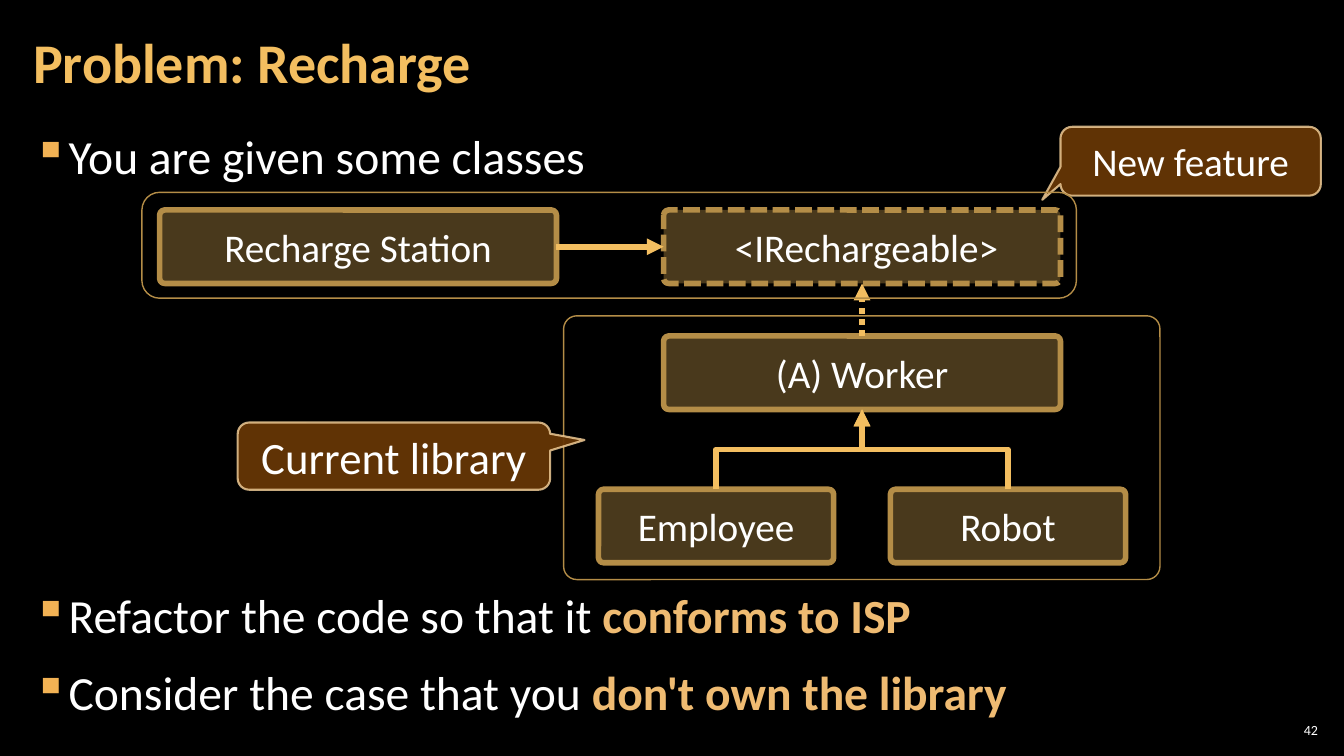
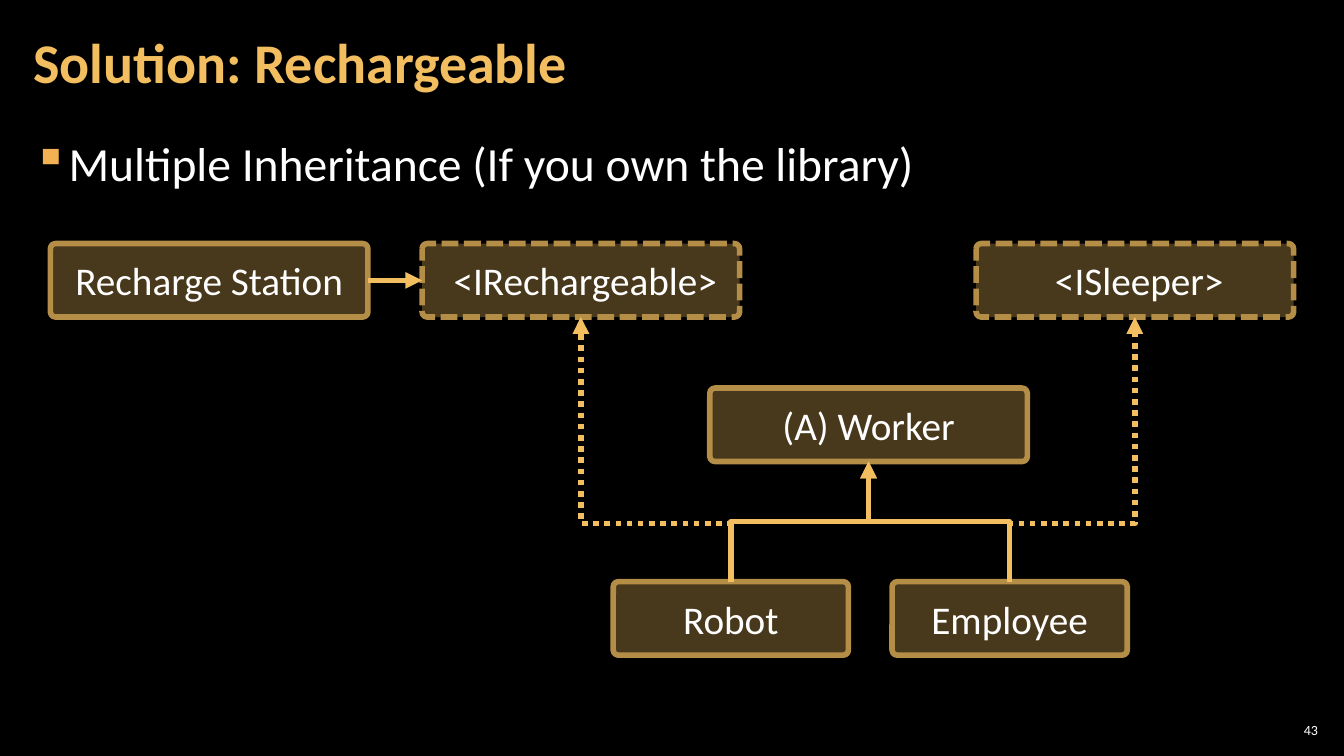
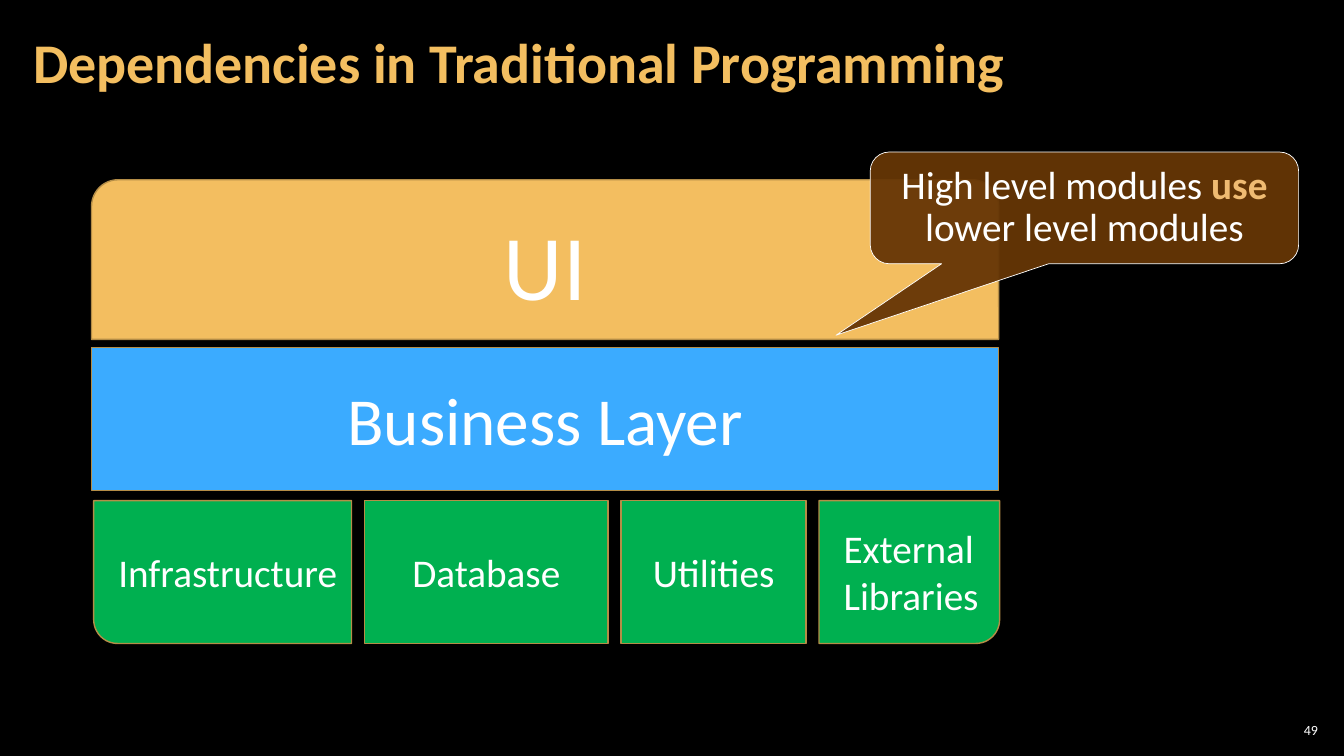
from dataclasses import dataclass

from lxml import etree
from pptx import Presentation
from pptx.dml.color import RGBColor
from pptx.enum.dml import MSO_LINE
from pptx.enum.shapes import MSO_CONNECTOR, MSO_SHAPE
from pptx.enum.text import MSO_ANCHOR, PP_ALIGN
from pptx.oxml.ns import qn
from pptx.util import Inches, Pt

LEFT, MID, RIGHT = PP_ALIGN.LEFT, PP_ALIGN.CENTER, PP_ALIGN.RIGHT
TOP, CORE = MSO_ANCHOR.TOP, MSO_ANCHOR.MIDDLE
DASH, DOT = MSO_LINE.SQUARE_DOT, MSO_LINE.ROUND_DOT
RECT, ROUND = MSO_SHAPE.RECTANGLE, MSO_SHAPE.ROUNDED_RECTANGLE
ROUND_ONE, ROUND_TOP = MSO_SHAPE.ROUND_1_RECTANGLE, MSO_SHAPE.ROUND_2_SAME_RECTANGLE
CALL = MSO_SHAPE.ROUNDED_RECTANGULAR_CALLOUT


@dataclass(frozen=True)
class Theme:
    face: str = "Calibri"
    back: str = "000000"
    ink: str = "FFFFFF"
    gold: str = "F3BE60"
    mark: str = "F2B254"
    warm: str = "EFBB72"
    rim: str = "B48D47"
    pale: str = "F8D49E"
    brown: str = "663606"
    blue: str = "3BABFF"
    green: str = "00B050"
    tiny: int = 10
    label: int = 28
    note: int = 32
    body: int = 34
    title: int = 40
    layer: int = 48
    hero: int = 66


T = Theme()
deck = Presentation()
deck.slide_width, deck.slide_height = Inches(40 / 3), Inches(7.5)
UNIT = deck.slide_width / 160
ground = deck.slide_master.background.fill
ground.solid()
ground.fore_color.rgb = RGBColor.from_string(T.back)


def put(page, kind, at, text="", size=T.label, ink=T.ink, bold=False, align=MID,
        anchor=CORE, pad=(1.2, 0.6), space=None, fill=None, line=None, wide=1,
        dash=None, fade=(100, 100), bend=()):
    area = [round(n * UNIT) for n in at]
    if kind is None:
        shape = page.shapes.add_textbox(*area)
    else:
        shape = page.shapes.add_shape(kind, *area)
        shape.shadow.inherit = False
        for i, n in enumerate(bend):
            shape.adjustments[i] = n
        if fill:
            shape.fill.solid()
            shape.fill.fore_color.rgb = RGBColor.from_string(fill)
        else:
            shape.fill.background()
        shape.line.color.rgb = RGBColor.from_string(line)
        shape.line.width = Pt(wide)
        shape.line.dash_style = dash
        props = shape._element.spPr
        for route, part in zip(("a:solidFill/a:srgbClr", "a:ln/a:solidFill/a:srgbClr"), fade):
            for tone in props.xpath(route) if part < 100 else ():
                etree.SubElement(tone, qn("a:alpha")).set("val", str(part * 1000))
    frame = shape.text_frame
    frame.word_wrap = True
    frame.vertical_anchor = anchor
    frame.margin_left = frame.margin_right = round(pad[0] * UNIT)
    frame.margin_top = frame.margin_bottom = round(pad[1] * UNIT)
    for i, words in enumerate(text.split("\n") if text else ()):
        para = frame.add_paragraph() if i else frame.paragraphs[0]
        para.alignment = align
        if space:
            para.line_spacing = space
        for j, piece in enumerate(words.split("*")):
            if piece:
                run = para.add_run()
                run.text = piece
                if j % 2:
                    run.font.bold = True
                    run.font.color.rgb = RGBColor.from_string(T.warm)
        para.font.name, para.font.size, para.font.bold = T.face, Pt(size), bold
        para.font.color.rgb = RGBColor.from_string(ink)
    return shape


def link(page, start, exit, end, entry, dash=None, bend=None):
    kind = MSO_CONNECTOR.ELBOW if bend else MSO_CONNECTOR.STRAIGHT
    wire = page.shapes.add_connector(kind, 0, 0, 0, 0)
    wire.begin_connect(start, exit)
    wire.end_connect(end, entry)
    props = wire._element.spPr
    if bend:
        x, y, far, top = wire.begin_x, wire.begin_y, wire.end_x, wire.end_y
        long, tall = y - top, abs(far - x)
        frame = props.get_or_add_xfrm()
        frame.rot = 90 if far > x else 270
        frame.flipH, frame.flipV = far > x, True
        wire.left, wire.top = (x + far - long) // 2, (y + top - tall) // 2
        wire.width, wire.height = long, tall
        guide = etree.SubElement(props.prstGeom.get_or_add_avLst(), qn("a:gd"))
        guide.set("name", "adj1")
        guide.set("fmla", f"val {round(bend * 100000)}")
    wire.line.color.rgb = RGBColor.from_string(T.gold)
    wire.line.width = Pt(4)
    wire.line.dash_style = dash
    etree.SubElement(wire.line._get_or_add_ln(), qn("a:tailEnd")).set("type", "triangle")
    etree.SubElement(props, qn("a:effectLst"))


NODE = dict(fill=T.gold, line=T.rim, wide=4, fade=(30, 100), bend=[0.07])
NOTE = dict(fill=T.brown, line=T.pale, wide=1.5, fade=(95, 80))
TALL, SHORT = 8.75, 28

HEADS = [
    ("Problem: Recharge", "42", 14.3,
     "You are given some classes\n"
     "Refactor the code so that it *conforms to ISP*\n"
     "Consider the case that you *don't own the library*"),
    ("Solution: Rechargeable", "43", 15.1, "Multiple Inheritance (If you own the library)"),
    ("Dependencies in Traditional Programming", "49", 0, ""),
]
pages = []
for title, number, top, points in HEADS:
    page = deck.slides.add_slide(deck.slide_layouts[6])
    pages.append(page)
    put(page, None, (151.8, 85.7, 5.6, 2.5), number, T.tiny, align=RIGHT, pad=(0.5, 0.5))
    put(page, None, (2.5, 0.5, 125.6, 14.5), title, T.title, T.gold, True, LEFT,
        pad=(1.44, 0.5), space=0.9)
    if points:
        body = put(page, None, (2.5, top, 155, 73), points, T.body, align=LEFT,
                   anchor=TOP, pad=(1.44, 0.5), space=1.05)
        for i, para in enumerate(body.text_frame.paragraphs):
            para.space_before, para.space_after = Pt((0, 279, 6)[i]), Pt(6)
            props = para._p.get_or_add_pPr()
            props.set("marL", str(round(4 * UNIT)))
            props.set("indent", str(round(-4 * UNIT)))
            tone = etree.Element(qn("a:buClr"))
            etree.SubElement(tone, qn("a:srgbClr")).set("val", T.mark)
            sign = etree.Element(qn("a:buChar"))
            sign.set("char", "▪")
            font = props.find(qn("a:defRPr"))
            font.addprevious(tone)
            font.addprevious(sign)

GRAPHS = [
    (47.25,
     [("(A) Worker", 79, 40), ("Robot", 106, 58.25), ("Employee", 71.25, 58.25),
      (" <IRechargeable>", 79, 25), ("Recharge Station", 19, 25)],
     [("Recharge Station", 3, " <IRechargeable>", 1),
      ("(A) Worker", 0, " <IRechargeable>", 2, DOT),
      ("Employee", 0, "(A) Worker", 2, None, 0.5),
      ("Robot", 0, "(A) Worker", 2, None, 0.5)]),
    (37.8,
     [("(A) Worker", 84.5, 46.2), ("Robot", 73, 69.25), ("Employee", 106.2, 69.25),
      (" <IRechargeable>", 50.25, 29), ("Recharge Station", 6, 29), (" <ISleeper>", 116.2, 29)],
     [("Recharge Station", 3, " <IRechargeable>", 1),
      ("Robot", 0, "(A) Worker", 2, None, 0.5),
      ("Robot", 0, " <IRechargeable>", 2, DOT, 0.22),
      ("Employee", 0, "(A) Worker", 2, None, 0.5),
      ("Employee", 0, " <ISleeper>", 2, DOT, 0.22)]),
]
for page, (wide, nodes, links) in zip(pages, GRAPHS):
    made = {}
    for name, x, y in nodes:
        span = SHORT if name in ("Robot", "Employee") else wide
        made[name] = put(page, ROUND, (x, y, span, TALL), name,
                         dash=DASH if "<" in name else None, **NODE)
    for start, exit, end, entry, *style in links:
        link(page, made[start], exit, made[end], entry, *style)

page = pages[0]
put(page, CALL, (126.25, 15.1, 31, 8.2), "New feature", bend=[-0.57, 0.56, 0.17], **NOTE)
put(page, ROUND, (16.9, 22.9, 111.25, 12.6), line=T.rim)
put(page, ROUND, (67.1, 37.6, 71, 31.4), line=T.rim, bend=[0.05])
put(page, CALL, (28.3, 50.3, 37.2, 8), "Current library", T.note,
    bend=[0.61, -0.24, 0.17], **NOTE)

page = pages[2]
put(page, ROUND_TOP, (10.9, 21.4, 108, 19), "UI", T.hero, fill=T.gold, line=T.rim)
put(page, RECT, (10.9, 41.4, 108, 17), "Business Layer", T.layer, fill=T.blue, line=T.rim)
x, gap = 11.15, 1.55
for name, wide, flip, drop in [("Infrastructure", 30.7, False, 5.1), ("Database", 29, None, 0),
                               ("Utilities", 22, None, 0), ("External Libraries", 21.5, True, 2.2)]:
    area = (x, 59.6, wide, 17)
    if flip is None:
        put(page, RECT, area, name, fill=T.green, line=T.rim)
    else:
        block = put(page, ROUND_ONE, area, fill=T.green, line=T.rim)
        block.rotation = 180
        block._element.spPr.get_or_add_xfrm().flipH = flip
        put(page, None, (x + 1.75, 59.6 + drop, wide + 0.4, 17 - 2 * drop), name,
            align=LEFT, anchor=TOP)
    x += wide + gap
put(page, CALL, (103.6, 18.1, 51, 13.3), "High level modules *use* lower level modules",
    anchor=TOP, pad=(1.2, 0.96), space=Pt(30), fill=T.brown, line=T.ink, wide=0.5,
    fade=(95, 100), bend=[-0.58, 1.14, 0.17])

deck.save("out.pptx")
